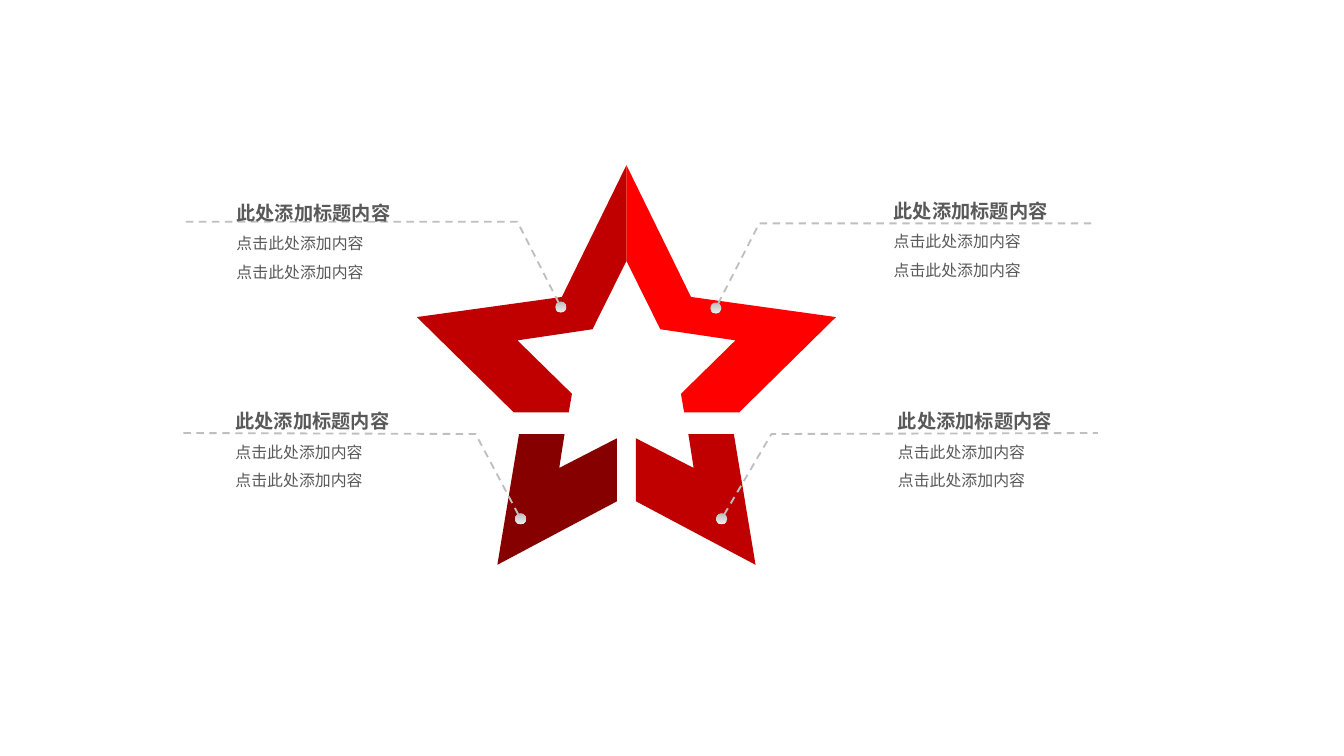
from copy import deepcopy

from lxml import etree
from pptx import Presentation
from pptx.dml.color import RGBColor
from pptx.enum import dml, shapes, text
from pptx.oxml.ns import qn
from pptx.util import Cm, Pt

FONT = "Noto Sans CJK SC"
STAR_CENTER = 11.84
DOT_SIZE = 0.2


def color(hex_string):
    return RGBColor.from_string(hex_string)


def add_outline(points, close):
    """Draw straight segments through points given in centimetres."""
    corners = [(Cm(x), Cm(y)) for x, y in points]
    builder = slide.shapes.build_freeform(*corners[0])
    builder.add_line_segments(corners[1:], close=close)
    shape = builder.convert_to_shape()
    shape.shadow.inherit = False
    return shape


presentation = Presentation()
presentation.slide_width = Cm(25.4)
presentation.slide_height = Cm(14.28)
slide = presentation.slides.add_slide(presentation.slide_layouts[6])

# Star: each part is a half outline, as (distance from the centre line, y)
leg = [(0.18, 8.28), (0.18, 9.47), (2.44, 10.67), (2.03, 8.2), (1.17, 8.2), (1.27, 8.84)]
arm = [(1.22, 5.61), (0, 3.12), (0, 4.93), (0.64, 6.22), (2.06, 6.43),
       (1.03, 7.44), (1.09, 7.79), (2.13, 7.79), (3.96, 5.99)]
star_parts = [(leg, 1, "C00000"), (leg, -1, "860000"), (arm, 1, "FF0000"), (arm, -1, "C00000")]
for half_outline, side, fill_color in star_parts:
    star_part = add_outline([(STAR_CENTER + side * x, y) for x, y in half_outline], True)
    star_part.fill.solid()
    star_part.fill.fore_color.rgb = color(fill_color)
    star_part.line.fill.background()

# Callouts: text corner, then leader line from the star outwards
callouts = [
    ((16.71, 3.45), [(13.53, 5.82), (14.35, 4.22), (20.7, 4.22)]),
    ((4.29, 3.48), [(10.6, 5.8), (9.78, 4.19), (3.43, 4.19)]),
    ((4.27, 7.42), [(9.84, 9.8), (8.99, 8.2), (3.45, 8.18)]),
    ((16.79, 7.42), [(13.64, 9.8), (14.58, 8.2), (20.75, 8.18)]),
]
callout_lines = [("此处添加标题内容", 10.3, True),
                 ("点击此处添加内容", 8.5, False),
                 ("点击此处添加内容", 8.5, False)]
dot_stops = [(0, "BBBBBB"), (0.35, "CFCFCF"), (1, "EDEDED")]

for (left, top), leader_points in callouts:
    leader = add_outline(leader_points, False)
    leader.fill.background()
    leader.line.color.rgb = color("BFBFBF")
    leader.line.width = Pt(1)
    leader.line.dash_style = dml.MSO_LINE.DASH
    line_element = leader._element.spPr.find(qn("a:ln"))
    etree.SubElement(line_element, qn("a:headEnd"), type="oval")

    text_box = slide.shapes.add_textbox(Cm(left), Cm(top), Cm(4.52), Cm(2.59))
    frame = text_box.text_frame
    frame.word_wrap = True
    frame.auto_size = text.MSO_AUTO_SIZE.SHAPE_TO_FIT_TEXT
    frame.margin_left = frame.margin_right = Cm(0.18)
    frame.margin_top = frame.margin_bottom = Cm(0.1)
    for index, (wording, size, bold) in enumerate(callout_lines):
        paragraph = frame.add_paragraph() if index else frame.paragraphs[0]
        paragraph.alignment = text.PP_ALIGN.JUSTIFY
        paragraph.line_spacing = 1.5
        run = paragraph.add_run()
        run.text = wording
        run.font.size = Pt(size)
        run.font.bold = bold
        run.font.name = FONT
        run.font.color.rgb = color("595959")
        etree.SubElement(run._r.get_or_add_rPr(), qn("a:ea"), typeface=FONT)

    dot_x, dot_y = leader_points[0]
    dot = slide.shapes.add_shape(
        shapes.MSO_SHAPE.OVAL, Cm(dot_x - DOT_SIZE / 2), Cm(dot_y - DOT_SIZE / 2),
        Cm(DOT_SIZE), Cm(DOT_SIZE))
    dot.shadow.inherit = False
    dot.line.fill.background()
    dot.fill.gradient()
    dot.fill.gradient_angle = 270
    stop_list = dot._element.spPr.find(".//" + qn("a:gsLst"))
    stop_list.insert(1, deepcopy(stop_list[0]))
    for stop, (position, stop_color) in zip(dot.fill.gradient_stops, dot_stops):
        stop.position = position
        stop.color.rgb = color(stop_color)

presentation.save("out.pptx")
